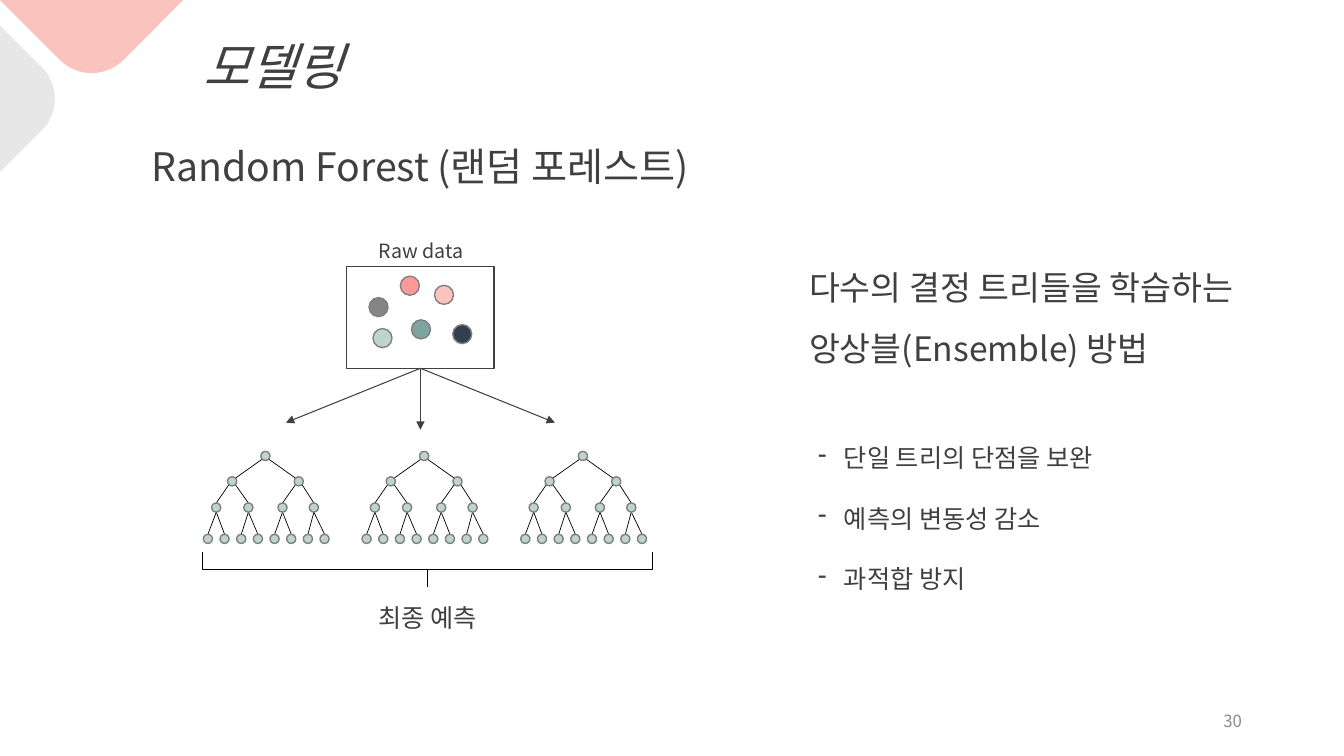
import math

from lxml import etree
from pptx import Presentation
from pptx.dml.color import RGBColor
from pptx.enum import shapes, text
from pptx.oxml import ns
from pptx.util import Cm, Pt

FONT = "Noto Sans CJK KR"
DARK = RGBColor(0x40, 0x40, 0x40)
BLACK = RGBColor(0x00, 0x00, 0x00)
OUTLINE = RGBColor(0x80, 0x80, 0x80)
NUMBER_GRAY = RGBColor(0x8C, 0x8C, 0x8C)
CORNER_GRAY = RGBColor(0xE7, 0xE7, 0xE7)
DOT_GRAY = RGBColor(0x85, 0x85, 0x85)
PINK = RGBColor(0xFA, 0xC3, 0xBE)
ROSE = RGBColor(0xFF, 0x99, 0x99)
MINT = RGBColor(0xBF, 0xD3, 0xD1)
TEAL = RGBColor(0x7C, 0xA4, 0xA0)
NAVY = RGBColor(0x33, 0x3F, 0x50)

# Sample dots: left and top inside the data box, colour
DOTS = [(1.35, 0.25, ROSE), (0.66, 1.57, MINT), (2.67, 1.47, NAVY),
        (1.63, 1.35, TEAL), (2.21, 0.48, PINK), (0.56, 0.79, DOT_GRAY)]
DOT = 0.48

# Tree levels: centre height, then centre of each node, from the tree's corner
LEVELS = [(0.11, [1.56]),
          (0.75, [0.72, 2.40]),
          (1.41, [0.32, 1.13, 1.99, 2.78]),
          (2.20, [0.11 + 0.42 * leaf for leaf in range(8)])]
NODE = 0.23
DIAGONAL = (0.08, 0.08)
VERTICAL = (0, NODE / 2)
# Offsets from parent and child centres where the edges below each level meet them
EDGE_ENDS = [(DIAGONAL, DIAGONAL), (DIAGONAL, VERTICAL), (VERTICAL, VERTICAL)]


def add_text(slide, box, paragraphs, size, color=DARK, spacing=1.5,
             align=text.PP_ALIGN.LEFT, italic=None, bullet=None, **frame_format):
    frame = slide.shapes.add_textbox(*map(Cm, box)).text_frame
    settings = {"word_wrap": True, "auto_size": text.MSO_AUTO_SIZE.SHAPE_TO_FIT_TEXT}
    for name, value in (settings | frame_format).items():
        setattr(frame, name, value)
    for index, words in enumerate(paragraphs):
        paragraph = frame.add_paragraph() if index else frame.paragraphs[0]
        paragraph.alignment, paragraph.line_spacing = align, spacing
        run = paragraph.add_run()
        run.text = words
        for name, value in {"name": FONT, "size": Pt(size), "italic": italic}.items():
            setattr(run.font, name, value)
        run.font.color.rgb = color
        east_asian = etree.SubElement(run._r.get_or_add_rPr(), ns.qn("a:ea"))
        east_asian.set("typeface", FONT)
        if bullet:
            properties = paragraph._p.get_or_add_pPr()
            properties.set("marL", str(Cm(0.65)))
            properties.set("indent", str(-Cm(0.65)))
            etree.SubElement(properties, ns.qn("a:buChar")).set("char", bullet)


def add_outlined(slide, kind, box, fill=None, line=OUTLINE, width=1):
    shape = slide.shapes.add_shape(kind, *map(Cm, box))
    shape.shadow.inherit = False
    if fill is None:
        shape.fill.background()
    else:
        shape.fill.solid()
        shape.fill.fore_color.rgb = fill
    shape.line.color.rgb = line
    shape.line.width = Pt(width)
    return shape


def add_line(slide, start, end, color, width, arrow=False):
    line = slide.shapes.add_connector(shapes.MSO_CONNECTOR.STRAIGHT,
                                      *map(Cm, (*start, *end)))
    line.line.color.rgb = color
    line.line.width = Pt(width)
    if arrow:
        etree.SubElement(line.line._get_or_add_ln(), ns.qn("a:tailEnd")).set("type", "triangle")
    etree.SubElement(line._element.spPr, ns.qn("a:effectLst"))
    return line


def add_corner(slide, middle, half, color, from_top):
    """Half of a rounded diamond that grows inward from the top or left edge."""
    radius = 1.13
    depth = half - radius * math.sqrt(2)
    arc = [(radius * math.sin(math.radians(angle)),
            depth + radius * math.cos(math.radians(angle)))
           for angle in range(-45, 46, 3)]
    outline = [(middle + along, inward)
               for along, inward in [(-half, 0), *arc, (half, 0)]]
    if not from_top:
        outline = [(inward, along) for along, inward in outline]
    points = [(Cm(x), Cm(y)) for x, y in outline]
    builder = slide.shapes.build_freeform(*points[0])
    builder.add_line_segments(points[1:], close=True)
    shape = builder.convert_to_shape()
    shape.shadow.inherit = False
    shape.fill.solid()
    shape.fill.fore_color.rgb = color
    shape.line.fill.background()


def add_raw_data(slide, left, top, width, height):
    """Labelled data box with its sample dots and the arrows to the trees."""
    add_text(slide, (left - 0.18, top - 1.12, 4.11, 1.12), ["Raw data"], 14,
             align=text.PP_ALIGN.CENTER)
    data_box = add_outlined(slide, shapes.MSO_SHAPE.RECTANGLE,
                            (left, top, width, height), line=DARK)
    for x, y, color in DOTS:
        add_outlined(slide, shapes.MSO_SHAPE.OVAL, (left + x, top + y, DOT, DOT), color)
    x, y = left + width / 2, top + height
    for across, down in [(-3.39, 1.37), (0, 1.55), (3.39, 1.37)]:
        arrow = add_line(slide, (x, y), (x + across, y + down), DARK, 0.75, arrow=True)
        arrow.begin_connect(data_box, 2)


def add_tree(slide, left, top):
    for (ends, (parent_y, parents), (child_y, children)) in zip(
            EDGE_ENDS, LEVELS, LEVELS[1:]):
        (exit_x, exit_y), (entry_x, entry_y) = ends
        for index, child_x in enumerate(children):
            side = 1 if index % 2 else -1
            add_line(slide,
                     (left + parents[index // 2] + side * exit_x, top + parent_y + exit_y),
                     (left + child_x - side * entry_x, top + child_y - entry_y),
                     BLACK, 0.5)
    for y, centres in LEVELS:
        for x in centres:
            add_outlined(slide, shapes.MSO_SHAPE.OVAL,
                         (left + x - NODE / 2, top + y - NODE / 2, NODE, NODE), MINT)


def add_prediction(slide, left, top, width, height):
    """Bracket filling the box, with the result below it."""
    brace_box = (left + (width - height) / 2, top + (height - width) / 2, height, width)
    brace = add_outlined(slide, shapes.MSO_SHAPE.LEFT_BRACE, brace_box,
                         line=BLACK, width=0.75)
    brace.rotation = 270
    brace.adjustments[0], brace.adjustments[1] = 0, 0.5
    add_text(slide, (left + width / 2 - 2.06, top + height - 0.1, 4.11, 1.35),
             ["최종 예측"], 18, align=text.PP_ALIGN.CENTER)


def add_forest(slide, left, top):
    add_raw_data(slide, left + 3.61, top, 3.71, 2.57)
    for tree in range(3):
        add_tree(slide, left + 4 * tree, top + 4.67)
    add_prediction(slide, left - 0.02, top + 7.21, 11.33, 0.86)


def add_explanation(slide, left, top):
    add_text(slide, (left, top, 11.4, 3.18),
             ["다수의 결정 트리들을 학습하는 앙상블(Ensemble) 방법"], 24)
    add_text(slide, (left + 0.23, top + 4.16, 12.6, 4.67),
             ["단일 트리의 단점을 보완", "예측의 변동성 감소", "과적합 방지"],
             18, spacing=2, bullet="-")


def add_heading(slide):
    add_corner(slide, 2.31, 2.31, PINK, from_top=True)
    add_corner(slide, 2.49, 1.85, CORNER_GRAY, from_top=False)
    add_text(slide, (4.88, 0, 19.71, 2.34), ["모델링"], 36, italic=True)
    add_text(slide, (3.58, 2.87, 16.31, 1.88), ["Random Forest (랜덤 포레스트)"], 28)


def main():
    presentation = Presentation()
    presentation.slide_width, presentation.slide_height = Cm(33.87), Cm(19.05)
    slide = presentation.slides.add_slide(presentation.slide_layouts[6])
    add_heading(slide)
    add_forest(slide, 5.13, 6.71)
    add_explanation(slide, 20.14, 6.1)
    add_text(slide, (23.93, 17.65, 7.62, 1.02), ["30"], 12, NUMBER_GRAY, spacing=1,
             align=text.PP_ALIGN.RIGHT, auto_size=text.MSO_AUTO_SIZE.NONE,
             vertical_anchor=text.MSO_ANCHOR.MIDDLE)
    presentation.save("out.pptx")


if __name__ == "__main__":
    main()
